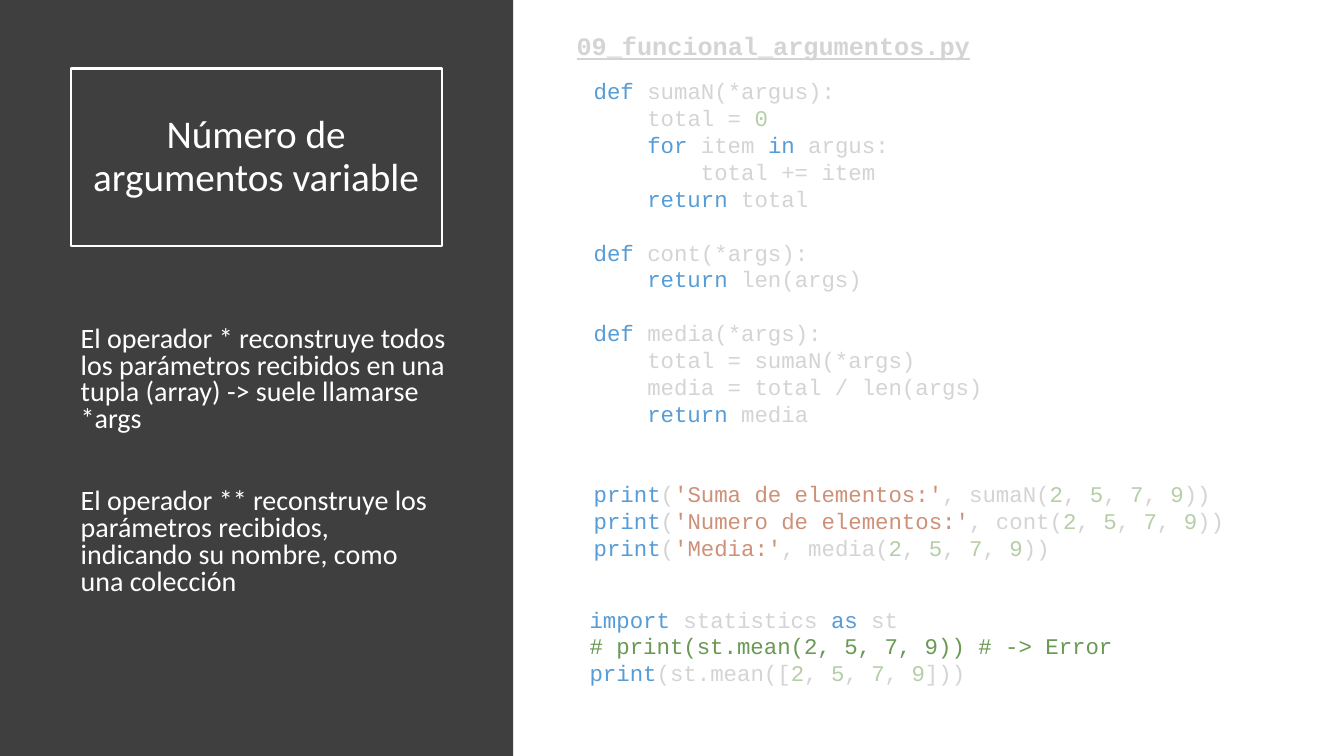
"""Build the slide on functions with a variable number of arguments."""
import dataclasses
import itertools

import pptx
import pptx.dml.color
import pptx.enum.shapes
import pptx.enum.text
import pptx.oxml
import pptx.oxml.ns
import pptx.util

Inches = pptx.util.Inches
Pt = pptx.util.Pt
Align = pptx.enum.text.PP_ALIGN
Anchor = pptx.enum.text.MSO_ANCHOR


@dataclasses.dataclass(frozen=True)
class Theme:
    white: str = "FFFFFF"
    panel: str = "3F3F3F"
    plain: str = "D4D4D4"
    keyword: str = "569CD6"
    number: str = "B5CEA8"
    string: str = "CE9178"
    comment: str = "6A9955"
    text_font: str = "Calibri"
    code_font: str = "Courier New"
    title_size: float = 28
    body_size: float = 20
    file_size: float = 18
    code_size: float = 16
    code_pitch: float = 19.2


@dataclasses.dataclass(frozen=True)
class Box:
    left: float
    top: float
    width: float
    height: float

    def place(self, shape) -> None:
        shape.left, shape.top = Inches(self.left), Inches(self.top)
        shape.width, shape.height = Inches(self.width), Inches(self.height)


@dataclasses.dataclass(frozen=True)
class Listing:
    box: Box
    source: str


THEME = Theme()
KEYWORDS = {"def", "for", "in", "return", "print", "import", "as"}
EXPLANATIONS = (
    "El operador * reconstruye todos los parámetros recibidos en una tupla (array) -> suele llamarse *args",
    "El operador ** reconstruye los parámetros recibidos, indicando su nombre, como una colección",
)
LISTINGS = (
    Listing(Box(5.79, 0.72, 6.67, 5.02), """\
def sumaN(*argus):
    total = 0
    for item in argus:
        total += item
    return total

def cont(*args):
    return len(args)

def media(*args):
    total = sumaN(*args)
    media = total / len(args)
    return media


print('Suma de elementos:', sumaN(2, 5, 7, 9))
print('Numero de elementos:', cont(2, 5, 7, 9))
print('Media:', media(2, 5, 7, 9))"""),
    Listing(Box(5.75, 5.96, 6.67, 0.94), """\
import statistics as st
# print(st.mean(2, 5, 7, 9)) # -> Error
print(st.mean([2, 5, 7, 9]))"""),
)


def rgb(value: str) -> pptx.dml.color.RGBColor:
    return pptx.dml.color.RGBColor.from_string(value)


def write(paragraph, text: str, *, size: float, color: str = THEME.white,
          font: str = THEME.text_font, bold: bool = False, underline: bool = False) -> None:
    run = paragraph.add_run()
    run.text = text
    run.font.name, run.font.size = font, Pt(size)
    run.font.bold, run.font.underline = bold, underline
    run.font.color.rgb = rgb(color)


def next_paragraph(frame, index: int):
    return frame.add_paragraph() if index else frame.paragraphs[0]


def tokens(line: str) -> list[tuple[str, str]]:
    if line.startswith("#"):
        return [(line, THEME.comment)]
    found = []
    for position, piece in enumerate(line.split("'")):
        if position % 2:
            found.append((f"'{piece}'", THEME.string))
            continue
        for _, characters in itertools.groupby(piece, str.isalnum):
            word = "".join(characters)
            color = (THEME.keyword if word in KEYWORDS
                     else THEME.number if word.isdigit() else THEME.plain)
            found.append((word, color))
    return found


def add_text_box(slide, box: Box):
    frame = slide.shapes.add_textbox(
        Inches(box.left), Inches(box.top), Inches(box.width), Inches(box.height)).text_frame
    frame.word_wrap = True
    return frame


def add_listing(slide, listing: Listing) -> None:
    frame = add_text_box(slide, listing.box)
    blank_lines = 0
    index = 0
    for line in listing.source.splitlines():
        if not line:
            blank_lines += 1
            continue
        paragraph = next_paragraph(frame, index)
        paragraph.line_spacing = Pt(THEME.code_pitch)
        paragraph.space_before = Pt(blank_lines * THEME.code_pitch)
        for text, color in tokens(line):
            write(paragraph, text, size=THEME.code_size, color=color, font=THEME.code_font)
        blank_lines = 0
        index += 1


def add_panel(slide) -> None:
    panel = slide.shapes.add_shape(pptx.enum.shapes.MSO_SHAPE.RECTANGLE,
                                   0, 0, Inches(5.09), Inches(7.5))
    panel.shadow.inherit = False
    panel.fill.solid()
    panel.fill.fore_color.rgb = rgb(THEME.panel)
    panel.line.fill.background()
    slide.shapes._spTree.insert(2, panel._element)


def fill_title(title) -> None:
    Box(0.7, 0.68, 3.68, 1.76).place(title)
    title.line.color.rgb = rgb(THEME.white)
    title.line.width = Pt(1.5)
    frame = title.text_frame
    frame.word_wrap = True
    frame.auto_size = pptx.enum.text.MSO_AUTO_SIZE.NONE
    frame.vertical_anchor = Anchor.MIDDLE
    heading = frame.paragraphs[0]
    heading.alignment, heading.line_spacing = Align.CENTER, 0.9
    write(heading, "Número de argumentos variable", size=THEME.title_size)


def fill_body(body) -> None:
    Box(0.7, 3.19, 3.83, 3.05).place(body)
    frame = body.text_frame
    frame.word_wrap = True
    frame.auto_size = pptx.enum.text.MSO_AUTO_SIZE.NONE
    frame.vertical_anchor = Anchor.TOP
    for index, explanation in enumerate(EXPLANATIONS):
        paragraph = next_paragraph(frame, index)
        paragraph.alignment, paragraph.line_spacing = Align.LEFT, 0.8
        paragraph.space_before = Pt(39 if index else 0)
        properties = paragraph._p.get_or_add_pPr()
        properties.set("marL", "0")
        properties.set("indent", "0")
        properties.append(pptx.oxml.parse_xml(
            f"<a:buNone {pptx.oxml.ns.nsdecls('a')}/>"))
        write(paragraph, explanation, size=THEME.body_size)


def main() -> None:
    deck = pptx.Presentation()
    deck.slide_width, deck.slide_height = Inches(13.33), Inches(7.5)
    slide = deck.slides.add_slide(deck.slide_layouts[1])
    slide.background.fill.solid()
    slide.background.fill.fore_color.rgb = rgb(THEME.white)
    add_panel(slide)
    fill_title(slide.shapes.title)
    fill_body(slide.placeholders[1])
    file_name = add_text_box(slide, Box(5.62, 0.25, 7.1, 0.71)).paragraphs[0]
    write(file_name, "09_funcional_argumentos.py", size=THEME.file_size, color=THEME.plain,
          font=THEME.code_font, bold=True, underline=True)
    for listing in LISTINGS:
        add_listing(slide, listing)
    deck.save("out.pptx")


if __name__ == "__main__":
    main()
